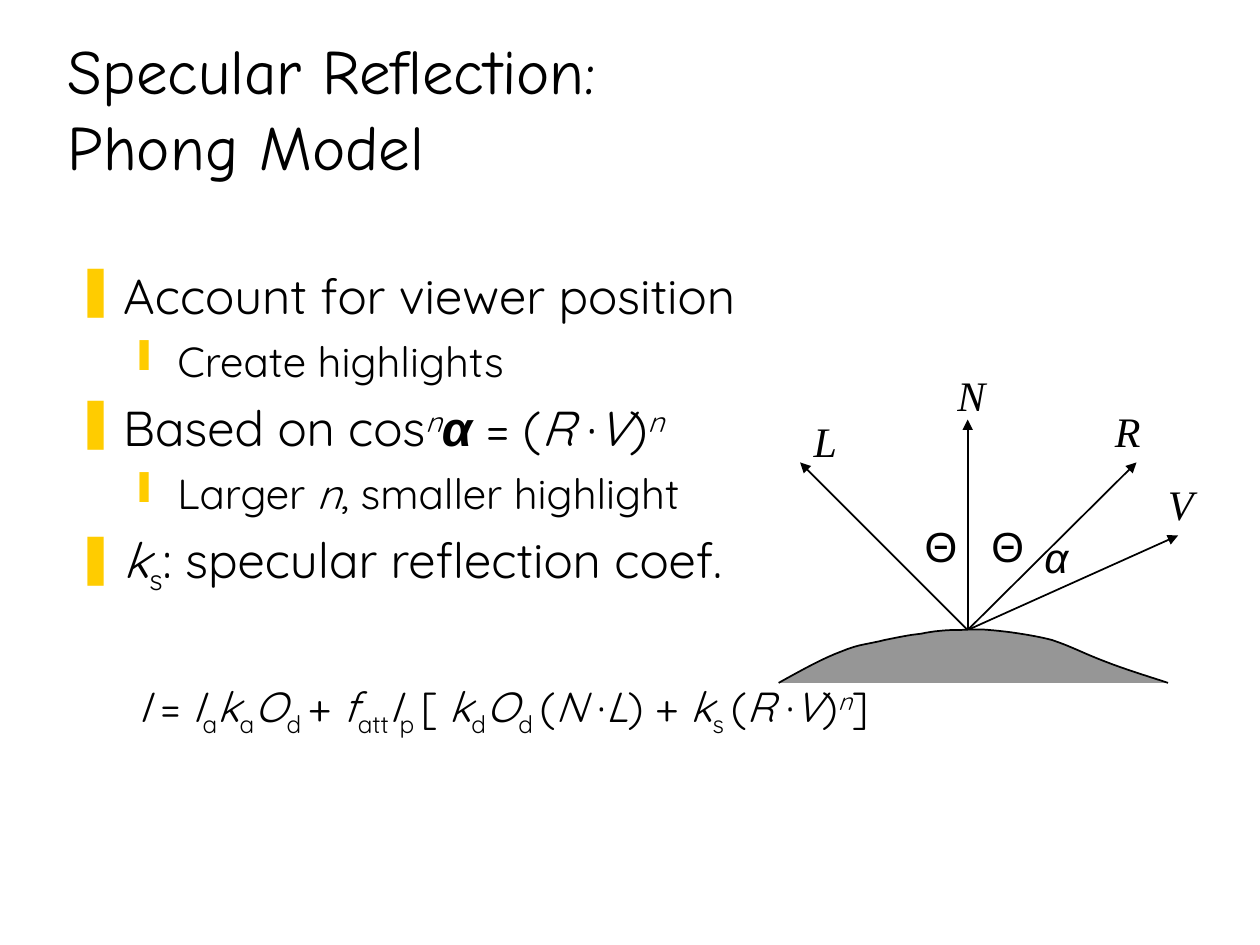
from lxml import etree
from pptx import Presentation
from pptx import util as u
from pptx.dml.color import RGBColor
from pptx.enum import shapes, text
from pptx.oxml.ns import qn

BLACK = RGBColor(0x00, 0x00, 0x00)
GRAY = RGBColor(0x96, 0x96, 0x96)
YELLOW = RGBColor(0xFF, 0xCC, 0x00)

deck = Presentation()
deck.slide_width, deck.slide_height = u.Inches(10), u.Inches(7.5)
page = deck.slides.add_slide(deck.slide_layouts[6])

# Grid of 100 columns by 75 rows
COLUMN = deck.slide_width / 100
ROW = deck.slide_height / 75


def add_text_box(left, top, width, height, wrap=True):
    box = page.shapes.add_textbox(*(int(n) for n in (
        left * COLUMN, top * ROW, width * COLUMN, height * ROW)))
    box.text_frame.word_wrap = wrap
    return box.text_frame


def set_font(para, name, size, italic=None):
    para.font.name, para.font.size = name, u.Pt(size)
    para.font.color.rgb = BLACK
    para.font.italic = italic


# Title
frame = add_text_box(4.4, 2.5, 93.1, 12.5)
frame.vertical_anchor = text.MSO_ANCHOR.BOTTOM
frame.paragraphs[0].text = "Specular Reflection: \vPhong Model"
set_font(frame.paragraphs[0], "Comic Neue", 36)

# Body: level, space before, bullet, spans of (text, style)
# Styles: i italic, b bold Arial italic, ^ italic superscript, _ subscript
BASELINES = {"^": "30000", "_": "-25000"}
LEVELS = [(0.38, -0.38, 28), (0.81, -0.31, 24)]
body = [
    (0, 0, "❚", [("Account for viewer position", "")]),
    (1, 6, "❙", [("Create highlights", "")]),
    (0, 7, "❚", [("Based on cos", ""), ("n", "^"), ("α ", "b"), ("= (", ""),
                 ("R ", "i"), ("·", ""), ("V", "i"), (")", ""), ("n", "^")]),
    (1, 6, "❙", [("Larger ", ""), ("n", "i"), (", smaller highlight", "")]),
    (0, 7, "❚", [("k", "i"), ("s", "_"), (": specular reflection coef.", "")]),
    (1, 48, None, [
        ("I ", "i"), ("= ", ""), ("I", "i"), ("a", "_"), ("k", "i"), ("a", "_"),
        ("O", "i"), ("d ", "_"), ("+ ", ""), ("f", "i"), ("att", "_"),
        ("I", "i"), ("p ", "_"), ("[ ", ""), ("k", "i"), ("d", "_"),
        ("O", "i"), ("d ", "_"), ("(", ""), ("N ", "i"), ("·", ""), ("L", "i"),
        (") + ", ""), ("k", "i"), ("s ", "_"), ("(", ""), ("R ", "i"),
        ("·", ""), ("V", "i"), (")", ""), ("n", "^"), ("]", "")]),
]
frame = add_text_box(5, 20.6, 89.4, 45.6)
for index, (level, space, bullet, spans) in enumerate(body):
    para = frame.add_paragraph() if index else frame.paragraphs[0]
    margin, indent, size = LEVELS[level]
    para.level = level
    para.space_before = u.Pt(space)
    properties = para._p.get_or_add_pPr()
    properties.set("marL", str(u.Inches(margin)))
    properties.set("indent", str(u.Inches(indent)))
    if bullet:
        color = etree.SubElement(properties, qn("a:buClr"))
        etree.SubElement(color, qn("a:srgbClr"), val=str(YELLOW))
        etree.SubElement(properties, qn("a:buChar"), char=bullet)
    else:
        etree.SubElement(properties, qn("a:buNone"))
    set_font(para, "Quicksand", size)
    for words, style in spans:
        span = para.add_run()
        span.text = words
        if style in ("i", "b", "^"):
            span.font.italic = True
        if style == "b":
            span.font.bold = True
            span.font.name = "Arial"
        if style in BASELINES:
            span.font._element.set("baseline", BASELINES[style])

# Light, reflection, view and normal vectors from the surface point
POINT = (76.8, 50)
for tip in [(63.5, 36.7), (90.2, 36.7), (93.5, 42.5), (76.8, 33.3)]:
    arrow = page.shapes.add_connector(
        shapes.MSO_CONNECTOR.STRAIGHT,
        int(POINT[0] * COLUMN), int(POINT[1] * ROW),
        int(tip[0] * COLUMN), int(tip[1] * ROW))
    arrow.line.color.rgb = BLACK
    arrow.line.width = u.Pt(1)
    etree.SubElement(arrow.line._get_or_add_ln(), qn("a:tailEnd"), type="triangle")
    etree.SubElement(arrow._element.spPr, qn("a:effectLst"))

# Vector and angle labels
for label, left, top, width, name, italic in [
        ("N", 75, 28.8, 4.2, "Times New Roman", True),
        ("R", 87.5, 31.7, 4, "Times New Roman", True),
        ("V", 91.7, 37.5, 4, "Times New Roman", True),
        ("L", 63.6, 32.5, 3.8, "Times New Roman", True),
        ("α", 81.9, 41.7, 4.1, "Arial", True),
        ("Θ", 77.7, 40.8, 4.4, "Arial", False),
        ("Θ", 72.4, 40.8, 4.4, "Arial", False)]:
    frame = add_text_box(left, top, width, 5, wrap=False)
    frame.auto_size = text.MSO_AUTO_SIZE.SHAPE_TO_FIT_TEXT
    frame.paragraphs[0].text = label
    set_font(frame.paragraphs[0], name, 24, italic)

# Surface: cubic curves, each with two control points and an end
STEPS = 8
start = (61.8, 54.2)
curves = [
    [(63.6, 53.2), (65.4, 52.2), (66.8, 51.7)],
    [(68.2, 51.1), (69.1, 51.1), (70.2, 50.8)],
    [(71.2, 50.6), (72.1, 50.4), (73.1, 50.3)],
    [(74, 50.1), (75.1, 50), (76, 50)],
    [(76.9, 50), (77.3, 49.9), (78.5, 50)],
    [(79.8, 50.1), (82, 50.4), (83.5, 50.8)],
    [(85, 51.3), (86.1, 51.9), (87.7, 52.5)],
    [(89.2, 53.1), (91.8, 53.9), (92.7, 54.2)],
]
outline = page.shapes.build_freeform(int(start[0] * COLUMN), int(start[1] * ROW))
points = []
for first, second, end in curves:
    for step in range(1, STEPS + 1):
        t = step / STEPS
        x, y = ((1 - t) ** 3 * a + 3 * t * (1 - t) ** 2 * b
                + 3 * t ** 2 * (1 - t) * c + t ** 3 * d
                for a, b, c, d in zip(start, first, second, end))
        points.append((int(x * COLUMN), int(y * ROW)))
    start = end
outline.add_line_segments(points, close=False)
surface = outline.convert_to_shape()
surface.shadow.inherit = False
surface.fill.solid()
surface.fill.fore_color.rgb = GRAY
surface.line.color.rgb = BLACK
surface.line.width = u.Pt(1)

deck.save("out.pptx")
